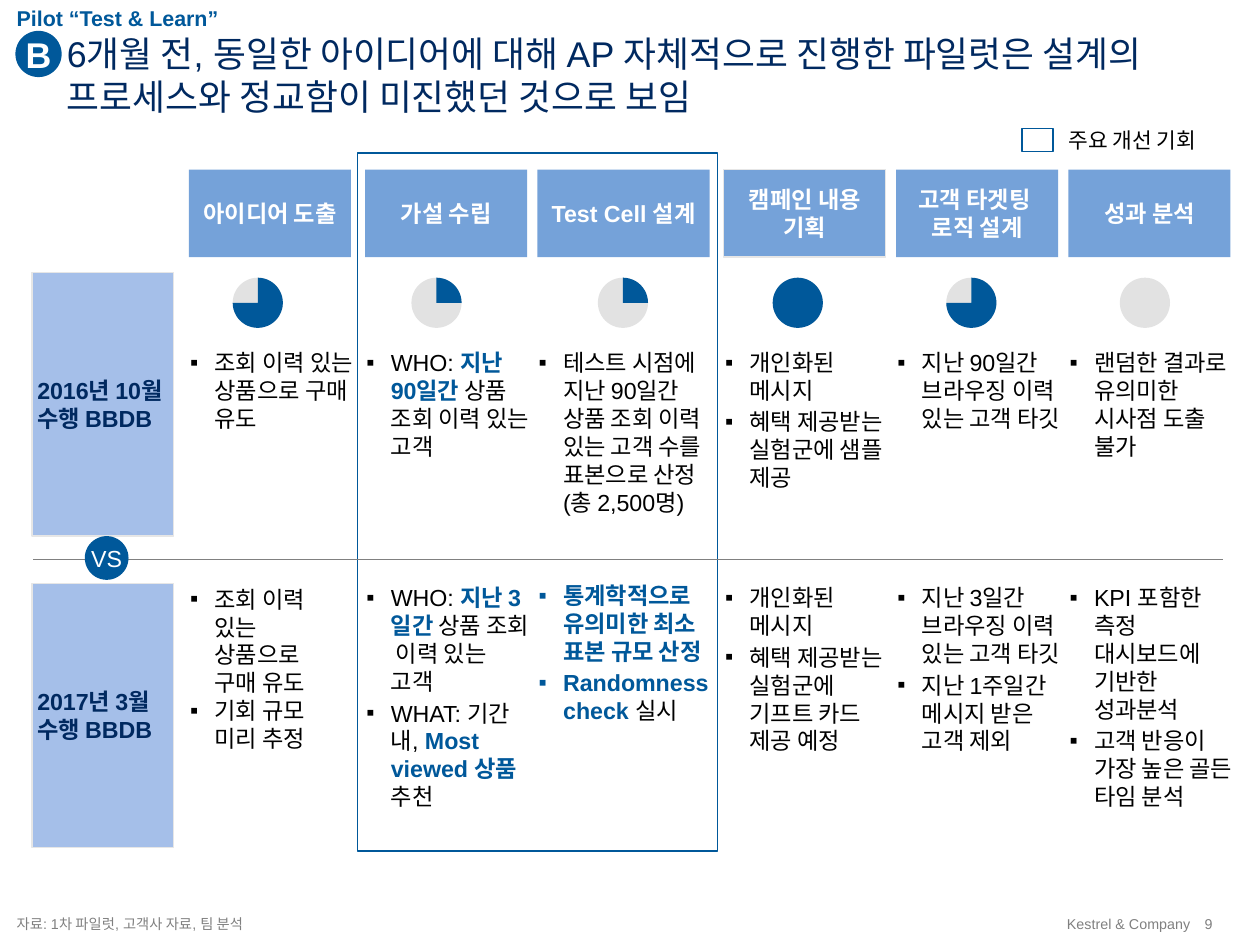
from dataclasses import dataclass
from lxml import etree
from pptx import Presentation
from pptx.dml.color import RGBColor
from pptx.enum import shapes, text
from pptx.oxml import ns
from pptx.util import Inches, Pt

KIND = shapes.MSO_SHAPE
ANCHOR = text.MSO_ANCHOR
ALIGN = text.PP_ALIGN
FIT = text.MSO_AUTO_SIZE


@dataclass(frozen=True)
class Theme:
    font: str = "Arial"
    navy: str = "002960"
    blue: str = "00589A"
    head: str = "75A2D9"
    side: str = "A5BFE9"
    pale: str = "E2E2E2"
    edge: str = "E6E6E6"
    gray: str = "808080"
    black: str = "000000"
    white: str = "FFFFFF"
    big: int = 20
    body: int = 13
    note: int = 12
    small: int = 8


class Board:
    def __init__(self, deck, theme):
        self.theme = theme
        self.slide = deck.slides.add_slide(deck.slide_layouts[5])
        self.items = self.slide.shapes

    def fill_text(self, frame, words, size, color, bold=False, align=ALIGN.LEFT,
                  anchor=ANCHOR.TOP, pad=(0, 0, 0, 0), wrap=True, fit=FIT.NONE,
                  bullet=False, gap=0, hang=(0, 0)):
        """Fill a frame; newlines split paragraphs, *stars* mark bold blue."""
        sides = ("left", "top", "right", "bottom")
        look = {f"margin_{side}": Inches(p) for side, p in zip(sides, pad)}
        look.update(word_wrap=wrap, auto_size=fit, vertical_anchor=anchor)
        for name, value in look.items():
            setattr(frame, name, value)
        for i, line in enumerate(words.split("\n")):
            para = frame.add_paragraph() if i else frame.paragraphs[0]
            para.alignment = align
            para.space_before = Pt(gap if i else 0)
            prop = para._p.get_or_add_pPr()
            prop.set("marL", str(Inches(hang[0])))
            prop.set("indent", str(Inches(hang[1])))
            if bullet:
                etree.SubElement(prop, ns.qn("a:buFont")).set("typeface", "Arial")
                etree.SubElement(prop, ns.qn("a:buChar")).set("char", "▪")
            for j, part in enumerate(line.split("*")):
                if part:
                    run = para.add_run()
                    run.text = part
                    key = j % 2 == 1
                    style = {"name": self.theme.font, "size": Pt(size),
                             "bold": bold or key}
                    for name, value in style.items():
                        setattr(run.font, name, value)
                    run.font.color.rgb = RGBColor.from_string(
                        self.theme.blue if key else color)

    def title(self, box, words, **style):
        shape = self.items.title
        sides = ("left", "top", "width", "height")
        for name, value in zip(sides, box):
            setattr(shape, name, Inches(value))
        self.fill_text(shape.text_frame, words, **style)

    def label(self, box, words, **style):
        shape = self.items.add_textbox(*map(Inches, box))
        self.fill_text(shape.text_frame, words, **style)

    def shape(self, kind, box, fill=None, line=None, words="", **style):
        shape = self.items.add_shape(kind, *map(Inches, box))
        shape.shadow.inherit = False
        if fill:
            shape.fill.solid()
            shape.fill.fore_color.rgb = RGBColor.from_string(fill)
        else:
            shape.fill.background()
        if line:
            shape.line.color.rgb = RGBColor.from_string(line)
            shape.line.width = Pt(0.75)
        else:
            shape.line.fill.background()
        if words:
            self.fill_text(shape.text_frame, words, **style)
        return shape

    def rule(self, start, end):
        line = self.items.add_connector(
            shapes.MSO_CONNECTOR.STRAIGHT, *map(Inches, start + end))
        line.line.color.rgb = RGBColor.from_string(self.theme.gray)
        line.line.width = Pt(0.75)
        etree.SubElement(line._element.spPr, ns.qn("a:effectLst"))

    def moon(self, left, parts):
        """Draw a disc with the given number of quarters filled."""
        box = (left, 2.16, 0.39, 0.39)
        self.shape(KIND.OVAL, box, self.theme.pale)
        if parts:
            arc = self.shape(KIND.ARC, box, self.theme.blue)
            arc.adjustments[0] = 162
            arc.adjustments[1] = {1: 0, 3: 108, 4: 162}[parts]


# left, head width, head, moon left, quarters
STEPS = [
    (1.47, 1.26, "아이디어 도출", 1.81, 3),
    (2.84, 1.26, "가설 수립", 3.2, 1),
    (4.18, 1.34, "Test Cell 설계", 4.65, 1),
    (5.63, 1.26, "캠페인 내용 기획", 6.01, 4),
    (6.97, 1.26, "고객 타겟팅 \n로직 설계", 7.36, 3),
    (8.31, 1.26, "성과 분석", 8.71, 0),
]

# top, width, height, gap, words for each step
PAST = [
    (2.71, 1.3, 0.68, 0, "조회 이력 있는 상품으로 구매 유도"),
    (2.71, 1.3, 0.9, 0, "WHO: *지난 90일간 *상품 조회 이력 있는 고객"),
    (2.71, 1.38, 1.33, 0,
     "테스트 시점에 지난 90일간 상품 조회 이력 있는 고객 수를 표본으로 산정 (총 2,500명)"),
    (2.71, 1.3, 1.14, 2, "개인화된 메시지\n혜택 제공받는 실험군에 샘플 제공"),
    (2.71, 1.3, 0.68, 0, "지난 90일간 브라우징 이력 있는 고객 타깃"),
    (2.71, 1.34, 0.9, 0, "랜덤한 결과로 유의미한 시사점 도출 불가"),
]
NEXT = [
    (4.55, 1.17, 1.33, 0, "조회 이력 있는 상품으로 구매 유도\n기회 규모 미리 추정"),
    (4.54, 1.3, 1.8, 2, "WHO: *지난 3일간 *상품 조회  이력 있는 고객\n"
     "WHAT: 기간 내, *Most viewed 상품 *추천"),
    (4.52, 1.38, 1.14, 2,
     "*통계학적으로 유의미한 최소 표본 규모 산정*\n*Randomness check *실시"),
    (4.54, 1.3, 1.36, 2, "개인화된 메시지\n혜택 제공받는 실험군에 기프트 카드 제공 예정"),
    (4.54, 1.3, 1.36, 2,
     "지난 3일간 브라우징 이력 있는 고객 타깃\n지난 1주일간 메시지 받은 고객 제외"),
    (4.54, 1.34, 1.8, 2,
     "KPI 포함한 측정 대시보드에 기반한 성과분석\n고객 반응이 가장 높은 골든 타임 분석"),
]


def main():
    deck = Presentation()
    deck.slide_width, deck.slide_height = Inches(9.8), Inches(7.35)
    look = Theme()
    board = Board(deck, look)

    board.title((0.13, 0.25, 9.43, 0.67),
                "6개월 전, 동일한 아이디어에 대해 AP 자체적으로 진행한 파일럿은 "
                "설계의 프로세스와 정교함이 미진했던 것으로 보임",
                size=look.big, color=look.navy, hang=(0.39, 0))
    board.label((0.13, 0.04, 1.97, 0.18), "Pilot “Test & Learn”",
                size=look.note, color=look.blue, bold=True)

    board.shape(KIND.RECTANGLE, (2.78, 1.19, 2.8, 5.43), line=look.blue)
    board.shape(KIND.RECTANGLE, (7.95, 1, 0.24, 0.18), line=look.blue)
    board.label((8.31, 0.99, 1.02, 0.2), "주요 개선 기회", size=look.note,
                color=look.black, wrap=False)

    block = dict(size=look.body, bold=True, anchor=ANCHOR.MIDDLE,
                 pad=(0.04, 0.05, 0.04, 0.05))
    for step, past, plan in zip(STEPS, PAST, NEXT):
        left, width, head, spot, parts = step
        board.shape(KIND.RECTANGLE, (left, 1.32, width, 0.68), look.head,
                    look.edge if parts == 4 else None, head,
                    color=look.white, align=ALIGN.CENTER, **block)
        board.moon(spot, parts)
        for top, wide, high, gap, words in (past, plan):
            board.label((left, top, wide, high), words, size=look.body,
                        color=look.black, pad=(0, 0, 0, 0.02), gap=gap,
                        bullet=True, hang=(0.2, -0.19), fit=FIT.SHAPE_TO_FIT_TEXT)

    board.rule((0.26, 4.35), (9.51, 4.35))
    for top, words in ((2.12, "2016년 10월 수행 BBDB"), (4.54, "2017년 3월 수행 BBDB")):
        board.shape(KIND.RECTANGLE, (0.25, top, 1.1, 2.05), look.side,
                    look.edge, words, color=look.navy, **block)

    for left, top, side, words, size, bold in (
            (0.66, 4.17, 0.34, "VS", look.body, False),
            (0.12, 0.24, 0.36, "B", look.big, True)):
        board.shape(KIND.OVAL, (left, top, side, side), look.blue, None, words,
                    size=size, color=look.white, bold=bold, wrap=False,
                    align=ALIGN.CENTER, anchor=ANCHOR.MIDDLE)

    for left, width, words, align in (
            (0.13, 7.87, "자료: 1차 파일럿, 고객사 자료, 팀 분석", ALIGN.LEFT),
            (8.15, 1.11, "Kestrel & Company", ALIGN.RIGHT),
            (9.37, 0.14, "9", ALIGN.LEFT)):
        board.label((left, 7.12, width, 0.13), words, size=look.small,
                    color=look.gray, align=align, anchor=ANCHOR.MIDDLE)

    deck.save("out.pptx")


if __name__ == "__main__":
    main()
